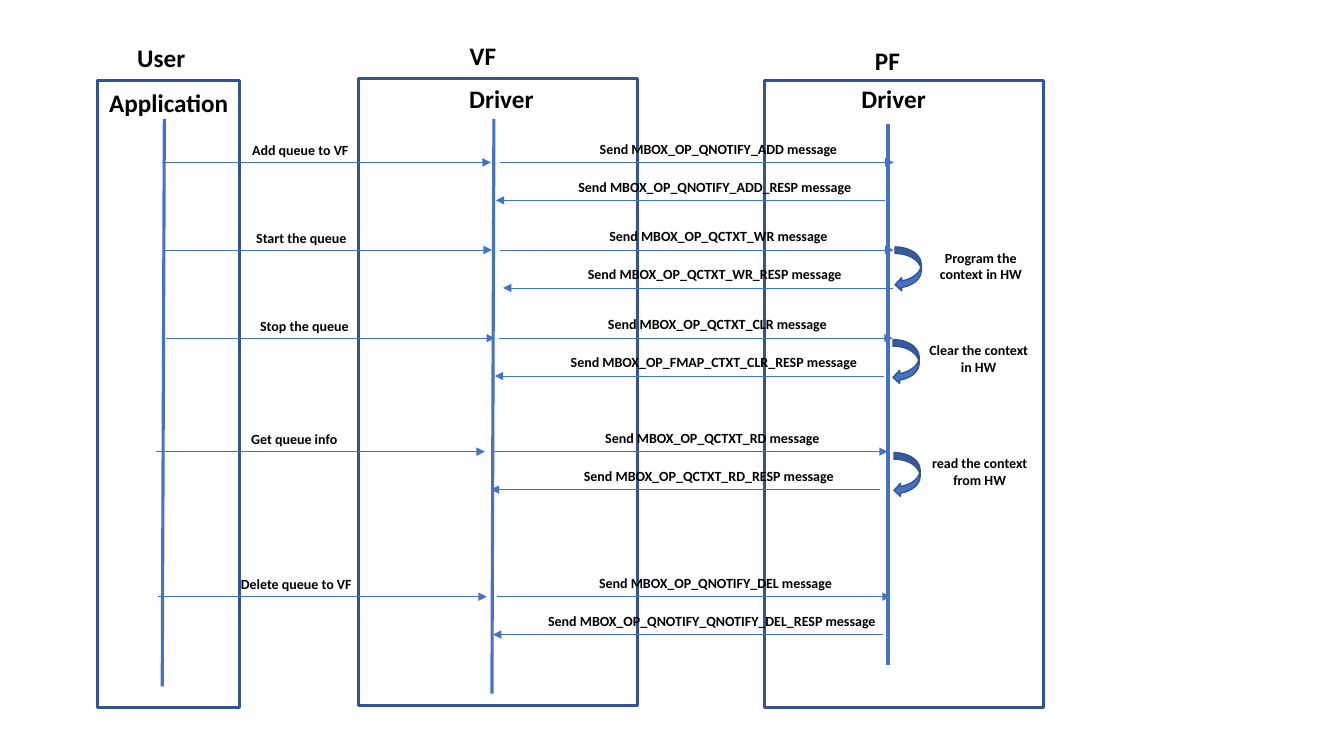
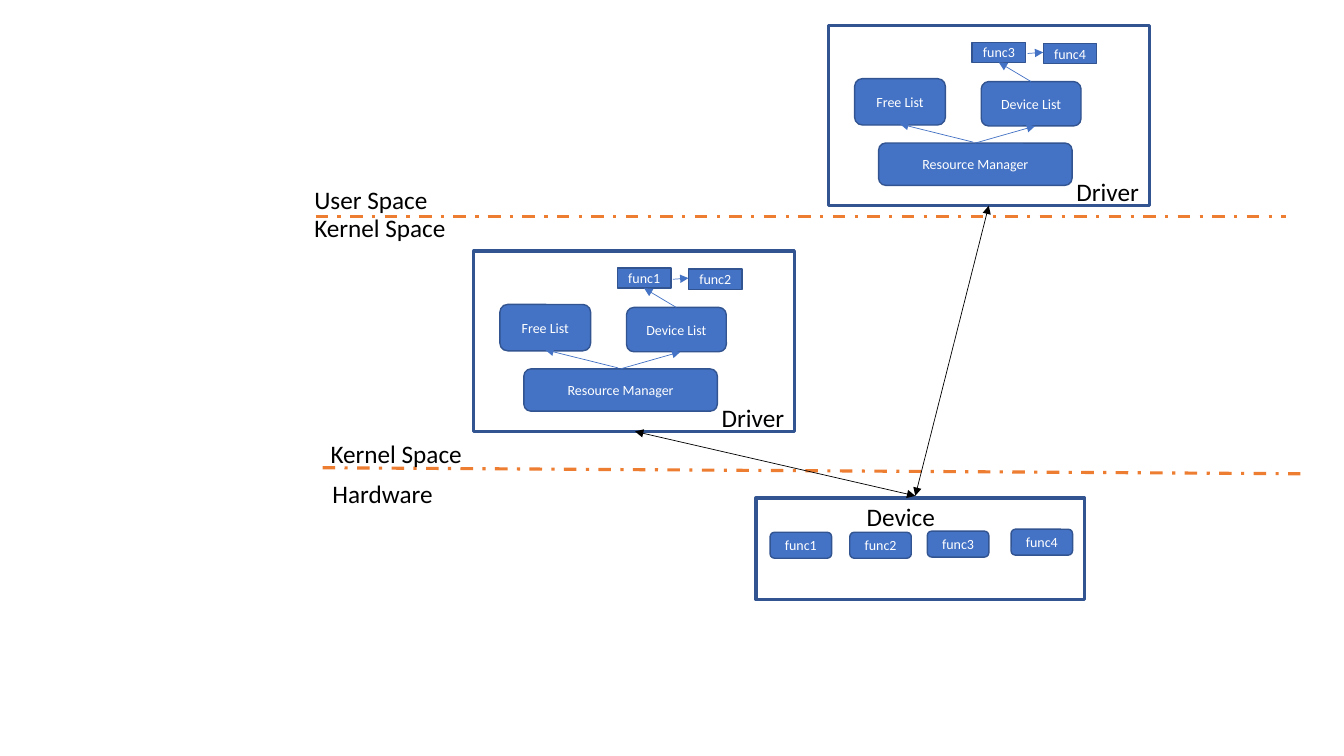
from dataclasses import dataclass
from typing import NamedTuple

from lxml.etree import SubElement
from pptx import Presentation
from pptx.dml.color import RGBColor
from pptx.enum.dml import MSO_LINE_DASH_STYLE as Dash
from pptx.enum.shapes import MSO_CONNECTOR_TYPE as Connector, MSO_SHAPE as Shape
from pptx.enum.text import MSO_ANCHOR as Anchor, MSO_AUTO_SIZE as AutoSize, PP_ALIGN as Align
from pptx.oxml.ns import qn
from pptx.util import Pt


@dataclass(frozen=True)
class Theme:
    font: str = "Calibri"
    blue: RGBColor = RGBColor.from_string("4472C4")
    dark_blue: RGBColor = RGBColor.from_string("325491")
    orange: RGBColor = RGBColor.from_string("ED7D31")
    black: RGBColor = RGBColor.from_string("000000")
    white: RGBColor = RGBColor.from_string("FFFFFF")
    heading: float = 18
    label: float = 10
    thick: float = 2.25
    outline: float = 1
    thin: float = 0.5


class Diagram:
    def __init__(self, theme):
        self.theme = theme
        self.presentation = Presentation()
        self.presentation.slide_width = Pt(960)
        self.presentation.slide_height = Pt(540)
        self.slide = None

    def new_slide(self):
        self.slide = self.presentation.slides.add_slide(self.presentation.slide_layouts[6])

    def _write(self, text_frame, text, size, color, align, bold=False):
        text_frame.text = text
        text_frame.word_wrap = True
        for paragraph in text_frame.paragraphs:
            paragraph.alignment = align
            for run in paragraph.runs:
                run.font.name = self.theme.font
                run.font.size = Pt(size)
                run.font.bold = bold
                run.font.color.rgb = color

    def _shape(self, kind, left, top, width, height, fill, weight):
        shape = self.slide.shapes.add_shape(kind, Pt(left), Pt(top), Pt(width), Pt(height))
        shape.shadow.inherit = False
        shape.fill.solid()
        shape.fill.fore_color.rgb = fill
        shape.line.color.rgb = self.theme.dark_blue
        shape.line.width = Pt(weight)
        return shape

    def frame(self, left, top, width, height):
        self._shape(Shape.RECTANGLE, left, top, width, height, self.theme.white, self.theme.thick)

    def block(self, text, left, top, width, height, kind=Shape.ROUNDED_RECTANGLE):
        """Draw a blue shape with a centred white caption."""
        shape = self._shape(kind, left, top, width, height, self.theme.blue, self.theme.outline)
        text_frame = shape.text_frame
        text_frame.margin_left = text_frame.margin_right = 0
        text_frame.vertical_anchor = Anchor.MIDDLE
        self._write(text_frame, text, self.theme.label, self.theme.white, Align.CENTER)

    def loop_arrow(self, left, top):
        self._shape(Shape.CURVED_LEFT_ARROW, left, top, 18.7, 31.7,
                    self.theme.blue, self.theme.outline)

    def _text(self, text, left, top, width, height, size, align, bold):
        box = self.slide.shapes.add_textbox(Pt(left), Pt(top), Pt(width), Pt(height))
        self._write(box.text_frame, text, size, self.theme.black, align, bold)
        box.text_frame.auto_size = AutoSize.SHAPE_TO_FIT_TEXT

    def heading(self, text, left, top, width):
        self._text(text, left, top, width, 29, self.theme.heading, Align.CENTER, True)

    def label(self, text, left, top, width, height=19.4):
        self._text(text, left, top, width, height, self.theme.label, Align.CENTER, True)

    def caption(self, text, left, top, width):
        self._text(text, left, top, width, 29, self.theme.heading, Align.LEFT, False)

    def line(self, start, end, color, weight, dash=None, heads=()):
        connector = self.slide.shapes.add_connector(
            Connector.STRAIGHT, *(Pt(value) for value in (*start, *end)))
        connector.line.color.rgb = color
        connector.line.width = Pt(weight)
        if dash:
            connector.line.dash_style = dash
        properties = connector.element.spPr
        outline = properties.get_or_add_ln()
        for head in heads:
            SubElement(outline, qn(head), type="triangle")
        SubElement(properties, qn("a:effectLst"))

    def lifeline(self, start, end):
        self.line(start, end, self.theme.blue, self.theme.thick)

    def arrow(self, start, end):
        self.line(start, end, self.theme.blue, self.theme.thin, heads=("a:tailEnd",))

    def two_way_arrow(self, start, end):
        self.line(start, end, self.theme.black, self.theme.thin, heads=("a:headEnd", "a:tailEnd"))

    def boundary(self, start, end):
        self.line(start, end, self.theme.orange, self.theme.thick, dash=Dash.DASH_DOT)


class Exchange(NamedTuple):
    """One call from the application, its request to the PF and the reply."""
    y: float
    app_x: float
    vf_x: float
    reply_x: float
    call: str
    request: str
    reply: str


EXCHANGES = [
    Exchange(116, 115.9, 357.1, 354.2, "Add queue to VF", "QNOTIFY_ADD", "QNOTIFY_ADD_RESP"),
    Exchange(178.6, 116.6, 357.1, 359.3, "Start the queue", "QCTXT_WR", "QCTXT_WR_RESP"),
    Exchange(241.5, 118.8, 356.4, 353.5, "Stop the queue", "QCTXT_CLR", "FMAP_CTXT_CLR_RESP"),
    Exchange(322.6, 111.6, 352.8, 350.6, "Get queue info", "QCTXT_RD", "QCTXT_RD_RESP"),
    Exchange(426.2, 113, 355, 352.1, "Delete queue to VF", "QNOTIFY_DEL",
             "QNOTIFY_QNOTIFY_DEL_RESP"),
]
HARDWARE_STEPS = [
    ("Program the context in HW", 639.4, 176.4),
    ("Clear the context in HW", 637.9, 242.6),
    ("read the context from HW", 638.6, 323.3),
]


def draw_exchange(diagram, exchange):
    y, app_x, vf_x, reply_x, call, request, reply = exchange
    reply_y = y + 27.1
    diagram.arrow((app_x, y), (app_x + 234.7, y))
    diagram.label(call, app_x + 42.1, y - 18.5, 113)
    diagram.arrow((vf_x, y), (vf_x + 281.2, y))
    diagram.label(f"Send MBOX_OP_{request} message", vf_x + 26.4, y - 19.4, 259.2)
    diagram.arrow((reply_x + 278.3, reply_y), (reply_x, reply_y))
    diagram.label(f"Send MBOX_OP_{reply} message", vf_x + 23.8, reply_y - 19.4, 259.2)


def draw_queue_sequence(diagram):
    diagram.new_slide()
    for left, top, width in ((256.3, 56.2, 199.4), (545.8, 57.6, 199.4), (69.8, 57.6, 101.5)):
        diagram.frame(left, top, width, 447.8)
    for text, left, top, width in (
        ("User", 83.5, 26.6, 63.4), ("Application", 60.5, 59, 120.2),
        ("VF", 313.2, 25.2, 63.4), ("Driver", 298.1, 56.2, 120.2),
        ("PF", 573.8, 28.8, 120.2), ("Driver", 578.2, 56.2, 120.2),
    ):
        diagram.heading(text, left, top, width)
    diagram.lifeline((117.4, 85), (115.9, 490.3))
    diagram.lifeline((352.8, 85), (351.4, 495.4))
    diagram.lifeline((634.3, 88.6), (634.3, 475.2))
    for exchange in EXCHANGES:
        draw_exchange(diagram, exchange)
    for text, left, top in HARDWARE_STEPS:
        diagram.loop_arrow(left, top)
        diagram.label(text, left + 15.8, top - 2, 90.7, 31.7)


def draw_driver(diagram, left, top, functions):
    """Draw a driver frame with its resource manager and lists."""
    diagram.frame(left, top, 229, 128.9)
    diagram.caption("Driver", left + 170, top + 104.4, 83.5)
    for text, x, y, width, height in (
        ("Resource Manager", 35.8, 84.2, 138.2, 30.2),
        ("Free List", 18.7, 38.2, 64.8, 33.1),
        ("Device List", 109.1, 40.3, 71.3, 31.7),
    ):
        diagram.block(text, left + x, top + y, width, height)
    for text, x, y in zip(functions, (102.6, 153.4), (12.2, 13)):
        diagram.block(text, left + x, top + y, 38.2, 14.4, Shape.RECTANGLE)
    for x1, y1, x2, y2 in (
        (144.7, 40.3, 121.7, 26.6), (142.3, 20.2, 153.4, 19.4),
        (104.8, 84.2, 147.6, 72), (103.2, 83.5, 51.1, 70.6),
    ):
        diagram.arrow((left + x1, top + y1), (left + x2, top + y2))


def draw_resource_layers(diagram):
    diagram.new_slide()
    diagram.boundary((230.4, 334.1), (928.8, 338.4))
    diagram.boundary((225.4, 154.8), (918.7, 154.8))
    for text, left, top in (
        ("User Space", 217.4, 128.2), ("Kernel Space", 217.4, 148.3),
        ("Kernel Space", 229, 309.6), ("Hardware", 230.4, 338.4),
    ):
        diagram.caption(text, left, top, 121)
    diagram.frame(540, 355.7, 234.7, 72.7)
    diagram.caption("Device", 612, 354.2, 82.8)
    device_functions = ((550.1, 380.2), (607, 380.2), (662.4, 379.4), (722.2, 378))
    for number, (left, top) in enumerate(device_functions, start=1):
        diagram.block(f"func{number}", left, top, 43.9, 18.5)
    draw_driver(diagram, 338.4, 179.3, ("func1", "func2"))
    draw_driver(diagram, 591.8, 18, ("func3", "func4"))
    device_top = (653.8, 354.2)
    diagram.two_way_arrow((453.6, 308.2), device_top)
    diagram.two_way_arrow((706.3, 146.9), device_top)


def main():
    diagram = Diagram(Theme())
    draw_queue_sequence(diagram)
    draw_resource_layers(diagram)
    diagram.presentation.save("out.pptx")


if __name__ == "__main__":
    main()
